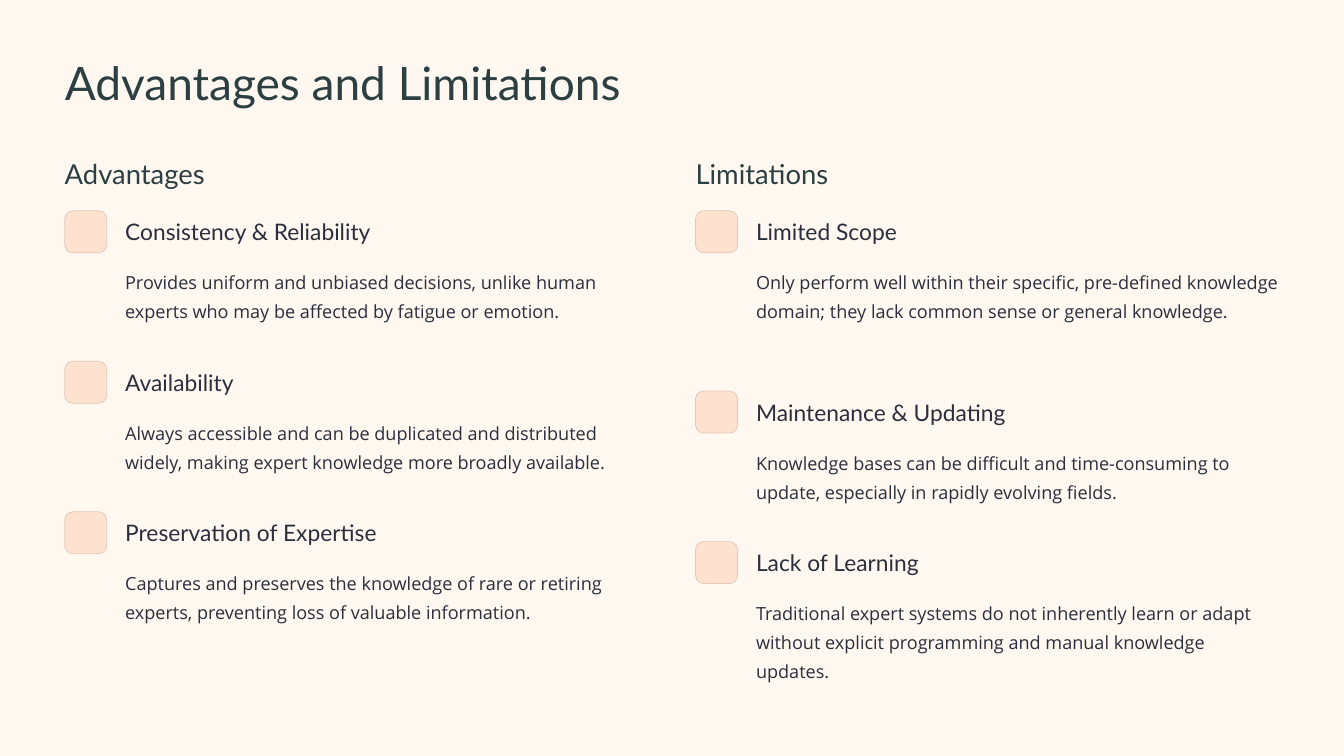
import pptx
import pptx.dml.color
import pptx.enum.shapes
import pptx.enum.text
import pptx.util

PX = 9525  # EMU per px, 96 px to the inch

COLORS = {
    "background": "FFF8F0",
    "title": "2C3F42",
    "text": "2B2E3C",
    "marker": "FCE2CF",
    "marker_line": "E2C8B5",
}

LEFT = 74
HEADING_TOP = 178
FIRST_ITEM_TOP = 241
MARKER_SIZE = 48
TEXT_INDENT = 69
BODY_OFFSET = 61
BODY_LINE = 34
ITEM_GAP = 43

# Each item: heading, body, number of lines reserved for the body
COLUMNS = [
    (LEFT, "Advantages", [
        ("Consistency & Reliability",
         "Provides uniform and unbiased decisions, unlike human experts "
         "who may be affected by fatigue or emotion.", 2),
        ("Availability",
         "Always accessible and can be duplicated and distributed widely, "
         "making expert knowledge more broadly available.", 2),
        ("Preservation of Expertise",
         "Captures and preserves the knowledge of rare or retiring experts, "
         "preventing loss of valuable information.", 2),
    ]),
    (795, "Limitations", [
        ("Limited Scope",
         "Only perform well within their specific, pre-defined knowledge "
         "domain; they lack common sense or general knowledge.", 3),
        ("Maintenance & Updating",
         "Knowledge bases can be difficult and time-consuming to update, "
         "especially in rapidly evolving fields.", 2),
        ("Lack of Learning",
         "Traditional expert systems do not inherently learn or adapt "
         "without explicit programming and manual knowledge updates.", 3),
    ]),
]


def rgb(name):
    return pptx.dml.color.RGBColor.from_string(COLORS[name])


def px(*lengths):
    return [pptx.util.Emu(length * PX) for length in lengths]


def write_text(shape, text, *, size, spacing, font="Lato", color="text"):
    frame = shape.text_frame
    frame.margin_left = frame.margin_right = 0
    frame.margin_top = frame.margin_bottom = 0
    frame.word_wrap = True
    frame.auto_size = pptx.enum.text.MSO_AUTO_SIZE.NONE
    frame.vertical_anchor = pptx.enum.text.MSO_ANCHOR.TOP
    frame.text = text
    paragraph = frame.paragraphs[0]
    paragraph.alignment = pptx.enum.text.PP_ALIGN.LEFT
    paragraph.space_before = pptx.util.Pt(0)
    paragraph.line_spacing = pptx.util.Pt(spacing)
    paragraph.font.name = font
    paragraph.font.size = pptx.util.Pt(size)
    paragraph.font.color.rgb = rgb(color)


def add_text(slide, box, text, **text_format):
    write_text(slide.shapes.add_textbox(*px(*box)), text, **text_format)


def add_title(slide, text):
    title = slide.shapes.title
    title.left, title.top, title.width, title.height = px(LEFT, 59, 690, 66)
    write_text(title, text, size=39.5, spacing=49.5, color="title")


def add_marker(slide, left, top):
    marker = slide.shapes.add_shape(
        pptx.enum.shapes.MSO_SHAPE.ROUNDED_RECTANGLE,
        *px(left, top, MARKER_SIZE, MARKER_SIZE))
    marker.adjustments[0] = 0.19
    marker.shadow.inherit = False
    marker.fill.solid()
    marker.fill.fore_color.rgb = rgb("marker")
    marker.line.color.rgb = rgb("marker_line")
    marker.line.width = pptx.util.Pt(0.6)


def add_item(slide, left, top, heading, body, body_height):
    text_left = left + TEXT_INDENT
    add_marker(slide, left, top)
    add_text(slide, (text_left, top + 7, 312, 34), heading,
             size=19.5, spacing=24.5)
    add_text(slide, (text_left, top + BODY_OFFSET, 599, body_height), body,
             size=15.5, spacing=25, font="Open Sans")


def add_column(slide, left, heading, items):
    add_text(slide, (left, HEADING_TOP, 318, 39), heading,
             size=23.5, spacing=29.5, color="title")
    top = FIRST_ITEM_TOP
    for item_heading, body, lines in items:
        body_height = lines * BODY_LINE
        add_item(slide, left, top, item_heading, body, body_height)
        top += BODY_OFFSET + body_height + ITEM_GAP


def main():
    presentation = pptx.Presentation()
    presentation.slide_width, presentation.slide_height = px(1536, 864)
    slide = presentation.slides.add_slide(presentation.slide_layouts[5])
    slide.background.fill.solid()
    slide.background.fill.fore_color.rgb = rgb("background")
    add_title(slide, "Advantages and Limitations")
    for left, heading, items in COLUMNS:
        add_column(slide, left, heading, items)
    presentation.save("out.pptx")


if __name__ == "__main__":
    main()
